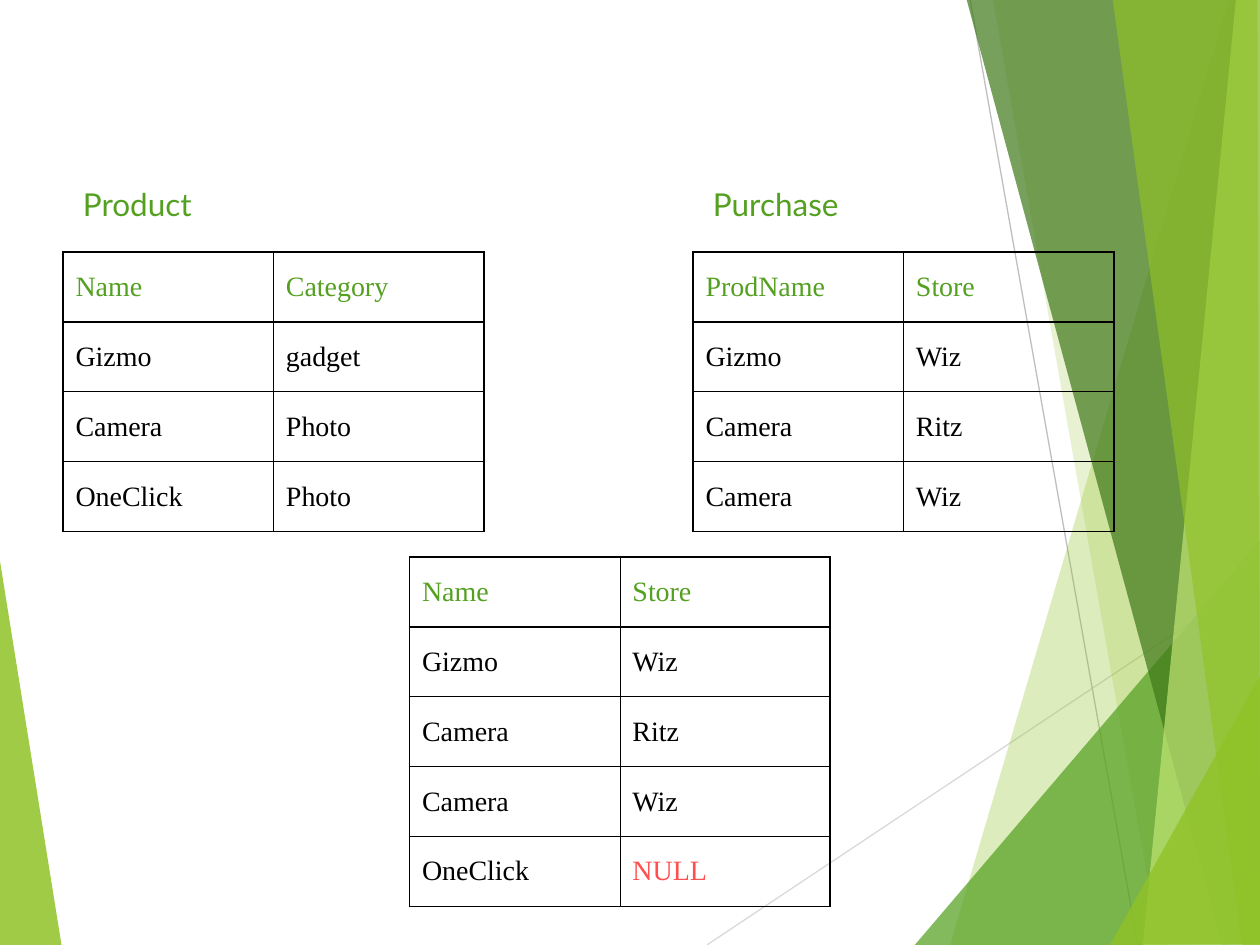
from dataclasses import dataclass

from lxml.etree import SubElement
from pptx import Presentation
from pptx.dml.color import RGBColor
from pptx.enum.shapes import MSO_CONNECTOR
from pptx.enum.text import MSO_ANCHOR, MSO_AUTO_SIZE
from pptx.oxml.ns import qn
from pptx.util import Inches, Pt


@dataclass(frozen=True)
class Theme:
    lime: str = "90C226"
    pale_lime: str = "C0E474"
    green: str = "54A021"
    dark_green: str = "3F7819"
    light_gray: str = "D9D9D9"
    gray: str = "BFBFBF"
    black: str = "000000"
    red: str = "FF5050"
    label_font: str = "Lato"
    table_font: str = "Times New Roman"
    label_size: float = 18
    table_size: float = 16
    outer_border: float = 1.08
    inner_border: float = 0.45
    hairline: float = 0.75


THEME = Theme()
COLUMN_WIDTH = 1.67
ROW_HEIGHT = 0.555

LEFT_FACET = ([(-0.01, 4.39), (0.49, 7.51), (-0.01, 7.5)], THEME.lime, 85)
RIGHT_FACETS = [
    ([(9.75, 0), (7.54, 7.5), (10.02, 7.51), (10.01, 0.01)], THEME.lime, 30),
    ([(7.88, -0.01), (9.2, 7.5), (10.01, 7.5), (10.01, -0.01)], THEME.lime, 20),
    ([(7.26, 7.5), (10, 4.29), (10.01, 7.5)], THEME.green, 72),
    ([(7.67, -0.01), (9.7, 7.5), (10.01, 7.49), (10.01, -0.01)], THEME.dark_green, 70),
    ([(9.07, 7.5), (10.01, 7.5), (10, -0.01), (9.81, -0.01)], THEME.pale_lime, 70),
    ([(8.83, -0.01), (9.86, 7.5), (10, 7.5), (9.98, -0.01)], THEME.lime, 65),
    ([(8.81, 7.5), (10.01, 5.35), (10.01, 7.49)], THEME.lime, 80),
]
HAIRLINES = [
    ((5.61, 7.5), (10.01, 4.57), THEME.light_gray),
    ((7.7, 0), (9.03, 7.5), THEME.gray),
]

PRODUCT = [
    ("Name", "Category"),
    ("Gizmo", "gadget"),
    ("Camera", "Photo"),
    ("OneClick", "Photo"),
]
PURCHASE = [
    ("ProdName", "Store"),
    ("Gizmo", "Wiz"),
    ("Camera", "Ritz"),
    ("Camera", "Wiz"),
]
OUTER_JOIN = [
    ("Name", "Store"),
    ("Gizmo", "Wiz"),
    ("Camera", "Ritz"),
    ("Camera", "Wiz"),
    ("OneClick", "NULL"),
]


def add_facet(slide, points, color, opacity):
    """Draw a translucent polygon; opacity is in percent."""
    corners = [(Inches(x), Inches(y)) for x, y in points]
    builder = slide.shapes.build_freeform(*corners[0])
    builder.add_line_segments(corners[1:], close=True)
    shape = builder.convert_to_shape()
    shape.shadow.inherit = False
    shape.line.fill.background()
    shape.fill.solid()
    shape.fill.fore_color.rgb = RGBColor.from_string(color)
    color_element = shape.fill._xPr.find(qn("a:solidFill"))[0]
    SubElement(color_element, qn("a:alpha"), val=str(opacity * 1000))


def add_hairline(slide, start, end, color):
    ends = [Inches(value) for value in start + end]
    connector = slide.shapes.add_connector(MSO_CONNECTOR.STRAIGHT, *ends)
    connector.line.color.rgb = RGBColor.from_string(color)
    connector.line.width = Pt(THEME.hairline)
    SubElement(connector._element.spPr, qn("a:effectLst"))


def format_run(run, font_name, size, color):
    run.font.name = font_name
    run.font.size = Pt(size)
    run.font.color.rgb = RGBColor.from_string(color)


def add_label(slide, text, left, top, width):
    box = slide.shapes.add_textbox(
        Inches(left), Inches(top), Inches(width), Inches(0.4))
    frame = box.text_frame
    frame.word_wrap = False
    frame.auto_size = MSO_AUTO_SIZE.SHAPE_TO_FIT_TEXT
    frame.text = text
    format_run(frame.paragraphs[0].runs[0],
               THEME.label_font, THEME.label_size, THEME.green)


def set_borders(cell, heavy_sides):
    """Draw all four borders, with the outer weight on heavy_sides."""
    properties = cell._tc.get_or_add_tcPr()
    for side in "LRTB":
        width = THEME.outer_border if side in heavy_sides else THEME.inner_border
        line = SubElement(properties, qn(f"a:ln{side}"), w=str(Pt(width)))
        fill = SubElement(line, qn("a:solidFill"))
        SubElement(fill, qn("a:srgbClr"), val=THEME.black)


def text_color(text, row_index):
    if row_index == 0:
        return THEME.green
    return THEME.red if text == "NULL" else THEME.black


def add_relation(slide, rows, left, top):
    """Add a table with a heavy frame and a heavy rule under its header."""
    row_count, column_count = len(rows), len(rows[0])
    table = slide.shapes.add_table(
        row_count, column_count, Inches(left), Inches(top),
        Inches(COLUMN_WIDTH * column_count), Inches(ROW_HEIGHT * row_count)).table
    table.first_row = table.horz_banding = False
    for row_index, row in enumerate(rows):
        for column_index, text in enumerate(row):
            cell = table.cell(row_index, column_index)
            cell.text = text
            cell.vertical_anchor = MSO_ANCHOR.MIDDLE
            format_run(cell.text_frame.paragraphs[0].runs[0], THEME.table_font,
                       THEME.table_size, text_color(text, row_index))
            heavy_sides = "L" if column_index == 0 else ""
            heavy_sides += "R" if column_index == column_count - 1 else ""
            heavy_sides += "T" if row_index <= 1 else ""
            heavy_sides += "B" if row_index in (0, row_count - 1) else ""
            set_borders(cell, heavy_sides)
            cell.fill.background()


def main():
    presentation = Presentation()
    presentation.slide_width = Inches(10)
    presentation.slide_height = Inches(7.5)
    slide = presentation.slides.add_slide(presentation.slide_layouts[6])

    add_facet(slide, *LEFT_FACET)
    for hairline in HAIRLINES:
        add_hairline(slide, *hairline)
    for facet in RIGHT_FACETS:
        add_facet(slide, *facet)

    add_relation(slide, PRODUCT, 0.5, 2)
    add_relation(slide, PURCHASE, 5.5, 2)
    add_relation(slide, OUTER_JOIN, 3.25, 4.42)
    add_label(slide, "Product", 0.56, 1.42, 1.12)
    add_label(slide, "Purchase", 5.56, 1.42, 1.28)

    presentation.save("out.pptx")


if __name__ == "__main__":
    main()
